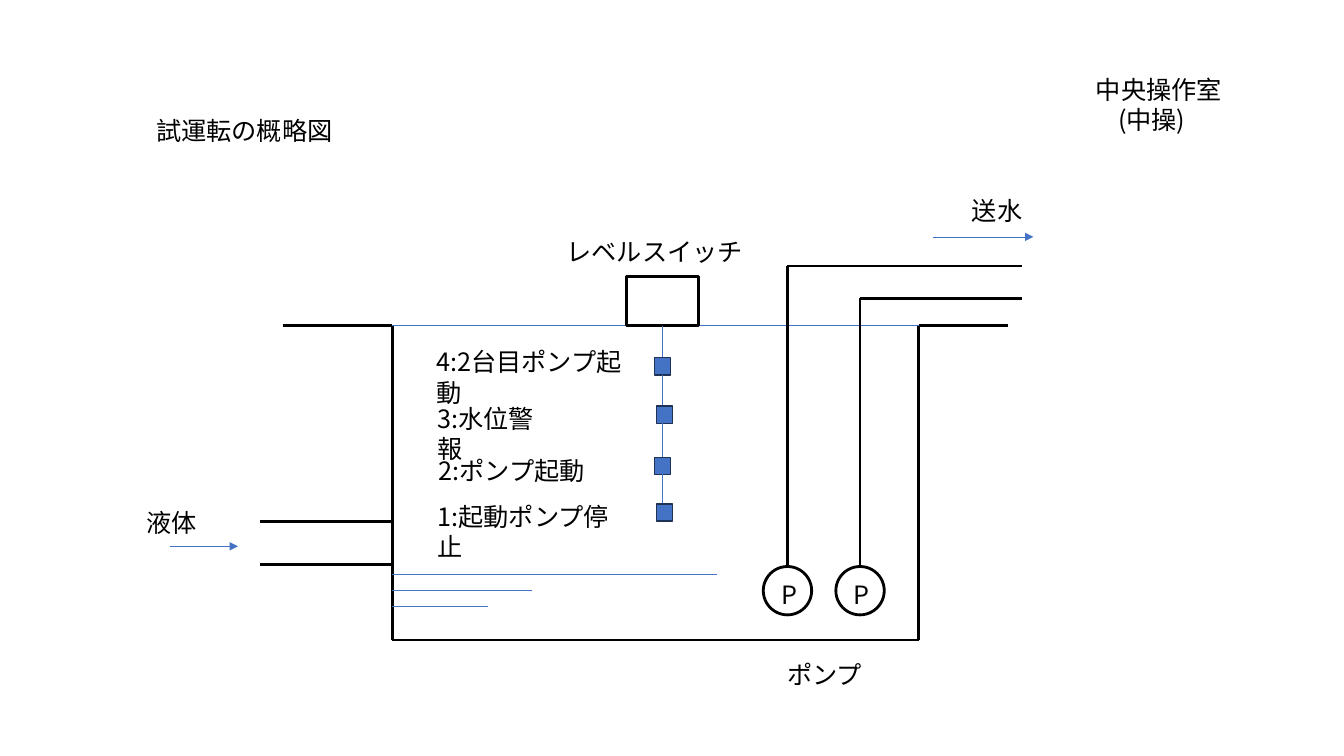
from pptx import Presentation
from pptx.dml.color import RGBColor
from pptx.enum.shapes import MSO_CONNECTOR, MSO_SHAPE
from pptx.enum.text import MSO_AUTO_SIZE
from pptx.oxml.ns import qn
from pptx.util import Inches, Pt
from lxml.etree import SubElement

# Grid of tenth-inch columns and rows
CELL = Inches(0.1)
FONT = "Noto Sans CJK JP"
BLACK, BLUE, NAVY = "000000", "4472C4", "1E3256"
THICK, THIN = 2, 0.5

# Key positions of the tank
TANK_LEFT, TANK_RIGHT = 38.9, 91.1
GROUND, FLOOR = 32.3, 63.5
GROUND_LEFT, GROUND_RIGHT = 28.1, 100
SENSOR_X = 65.7
PUMP_SIZE, PUMP_TOP = 4.8, 56.2


def grid(cells):
    return int(cells * CELL)


def color(code):
    return RGBColor.from_string(code)


def add_line(page, start, end, code=BLACK, weight=THICK, arrow=False):
    line = page.shapes.add_connector(
        MSO_CONNECTOR.STRAIGHT, *(grid(value) for value in (*start, *end)))
    line.line.color.rgb = color(code)
    line.line.width = Pt(weight)
    if arrow:
        SubElement(line.line._get_or_add_ln(), qn("a:tailEnd"), type="triangle")
    SubElement(line._element.spPr, qn("a:effectLst"))


def add_figure(page, kind, left, top, width, height,
               fill=None, outline=BLACK, weight=THICK):
    figure = page.shapes.add_shape(
        kind, *(grid(value) for value in (left, top, width, height)))
    figure.shadow.inherit = False
    if fill:
        figure.fill.solid()
        figure.fill.fore_color.rgb = color(fill)
    else:
        figure.fill.background()
    figure.line.color.rgb = color(outline)
    figure.line.width = Pt(weight)


def add_label(page, text, left, top, width, height=4, indent=0):
    """Left-aligned text; indent moves the lines after the first."""
    box = page.shapes.add_textbox(
        *(grid(value) for value in (left, top, width, height)))
    frame = box.text_frame
    frame.word_wrap = True
    frame.auto_size = MSO_AUTO_SIZE.SHAPE_TO_FIT_TEXT
    frame.text = text
    for index, para in enumerate(frame.paragraphs):
        para.font.name = FONT
        para.font.size = Pt(18)
        para.font.color.rgb = color(BLACK)
        properties = para._p.get_or_add_pPr()
        SubElement(properties.find(qn("a:defRPr")), qn("a:ea"), typeface=FONT)
        if index and indent:
            properties.set("marL", str(grid(indent)))


def add_tank(page):
    add_line(page, (GROUND_LEFT, GROUND), (GROUND_RIGHT, GROUND), BLUE, THIN)
    add_line(page, (GROUND_LEFT, GROUND), (TANK_LEFT, GROUND))
    add_line(page, (TANK_RIGHT, GROUND), (GROUND_RIGHT, GROUND))
    for wall in (TANK_LEFT, TANK_RIGHT):
        add_line(page, (wall, GROUND), (wall, FLOOR))
    add_line(page, (TANK_LEFT, FLOOR), (TANK_RIGHT, FLOOR))
    # Inlet pipe
    for row in (51.7, 56):
        add_line(page, (25.8, row), (TANK_LEFT, row))
    # Water surface
    for step, right in enumerate((71.1, 52.8, 48.4)):
        row = 57 + 1.6 * step
        add_line(page, (TANK_LEFT, row), (right, row), BLUE, THIN)


def add_pump(page, center, outlet):
    left = center - PUMP_SIZE / 2
    add_figure(page, MSO_SHAPE.OVAL, left, PUMP_TOP, PUMP_SIZE, PUMP_SIZE)
    add_label(page, "P", left + 0.8, PUMP_TOP + 0.8, 3.2)
    add_line(page, (center, PUMP_TOP), (center, outlet))
    add_line(page, (center, outlet), (101.4, outlet))


def add_level_switch(page):
    add_figure(page, MSO_SHAPE.RECTANGLE, SENSOR_X - 3.6, 27.4, 7.2, 4.9)
    # Each float: top of its cable, end of its cable, left and top of the float
    floats = [
        (GROUND, 35.7, 64.9, 35.5),
        (37.2, 40.2, 65.1, 40.3),
        (42, 45.6, 64.9, 45.4),
        (46.3, 50, 65.1, 50),
    ]
    for start, end, left, top in floats:
        add_line(page, (SENSOR_X, start), (SENSOR_X, end), BLUE, THIN)
        add_figure(page, MSO_SHAPE.RECTANGLE, left, top, 1.6, 1.7,
                   fill=BLUE, outline=NAVY, weight=1)


def main():
    deck = Presentation()
    deck.slide_width, deck.slide_height = Inches(13.33), Inches(7.5)
    page = deck.slides.add_slide(deck.slide_layouts[6])

    add_tank(page)
    for center, outlet in ((78.1, 26.4), (85.3, 29.6)):
        add_pump(page, center, outlet)
    add_level_switch(page)

    # Flow arrows
    for left, right, row in ((16.9, 23.6, 54.2), (92.5, 102.5, 23.5)):
        add_line(page, (left, row), (right, row), BLUE, THIN, arrow=True)

    # Labels
    labels = [
        ("試運転の概略図", 14.5, 10.9, 20.1),
        ("送水", 95.4, 18.9, 7.1),
        ("液体", 13.5, 49.8, 7.1),
        ("ポンプ", 77.1, 64.9, 9.6),
        ("レベルスイッチ", 55.2, 23, 19.7),
        ("4:2台目ポンプ起動", 42.3, 33.9, 21.9),
        ("3:水位警報", 42.4, 39.5, 12.6),
        ("2:ポンプ起動", 42.5, 44.7, 20.9),
        ("1:起動ポンプ停止", 42.4, 49.2, 20),
    ]
    for label in labels:
        add_label(page, *label)
    add_label(page, "中央操作室\n(中操)", 107.7, 6.9, 16.5, 7.1, indent=2.2)

    deck.save("out.pptx")


if __name__ == "__main__":
    main()
